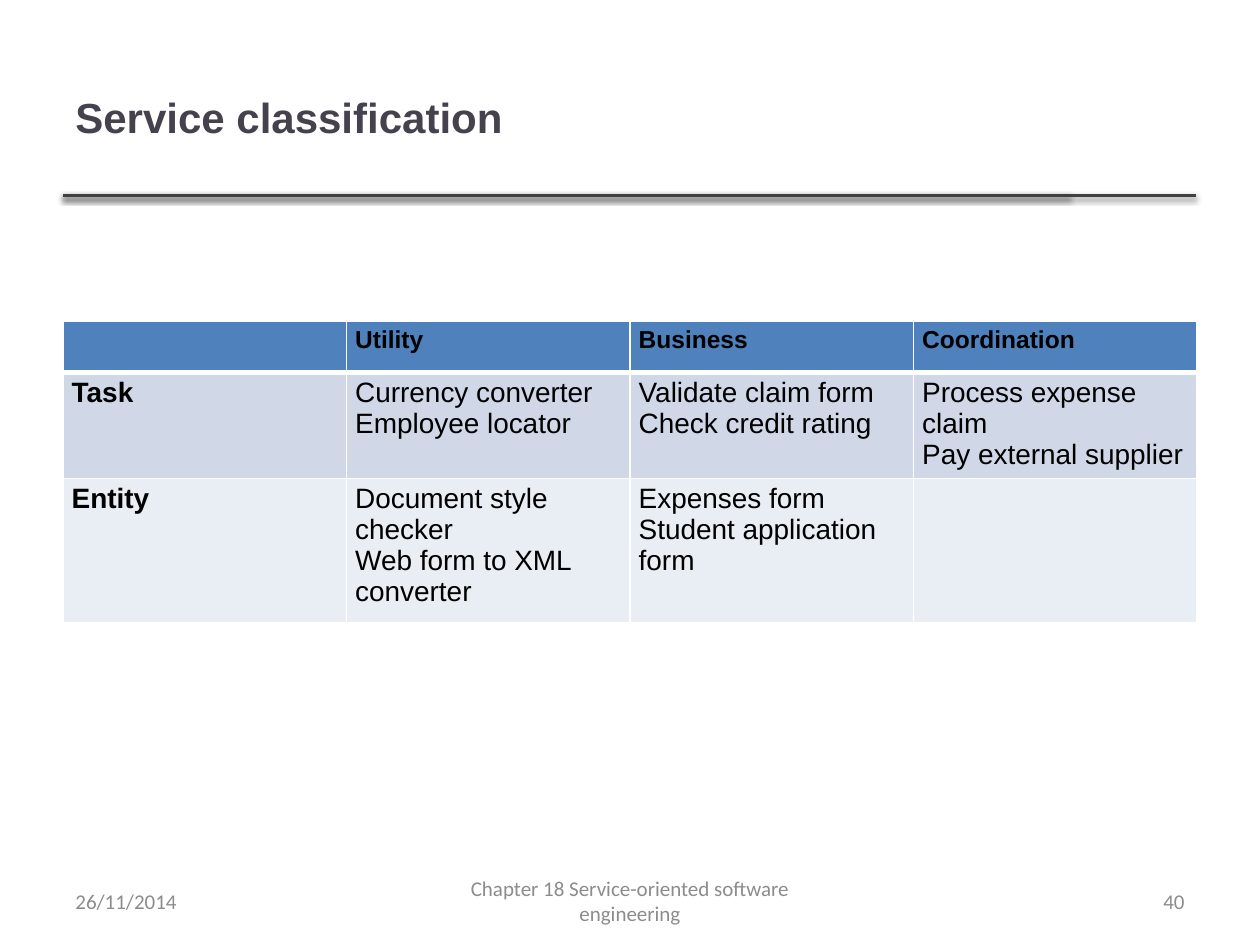
from dataclasses import dataclass

from lxml.etree import SubElement
from pptx import Presentation
from pptx.dml.color import RGBColor
from pptx.enum.shapes import MSO_CONNECTOR
from pptx.enum.text import MSO_ANCHOR as Anchor, PP_ALIGN as Align
from pptx.oxml.ns import qn
from pptx.util import Pt


@dataclass(frozen=True)
class Theme:
    title: str = "46424D"
    rule: str = "404040"
    text: str = "000000"
    footer: str = "8C8C8C"
    border: str = "FFFFFF"
    row_fills: tuple = ("4F81BD", "D0D8E8", "E9EDF4")
    heading_font: str = "Arial"
    footer_font: str = "Calibri"
    title_size: int = 24
    header_size: int = 14
    body_size: int = 16
    footer_size: int = 12


theme = Theme()


def write_text(frame, text, *, size, color, font=theme.heading_font, bold=False,
               align=Align.LEFT):
    """Fill a text frame, with one paragraph for each line of text."""
    frame.word_wrap = True
    for index, line in enumerate(text.split("\n")):
        paragraph = frame.add_paragraph() if index else frame.paragraphs[0]
        paragraph.alignment = align
        run = paragraph.add_run()
        run.text = line
        run.font.name = font
        run.font.size = Pt(size)
        run.font.bold = bold
        run.font.color.rgb = RGBColor.from_string(color)


def add_border(cell, side, width):
    """Draw a border on one side (L, R, T or B); call before filling the cell."""
    line = SubElement(cell._tc.get_or_add_tcPr(), qn(f"a:ln{side}"), w=str(Pt(width)))
    SubElement(SubElement(line, qn("a:solidFill")), qn("a:srgbClr"), val=theme.border)


presentation = Presentation()
presentation.slide_width, presentation.slide_height = Pt(720), Pt(540)
slide = presentation.slides.add_slide(presentation.slide_layouts[6])
shapes = slide.shapes

# Two overlapping rules under the title, each with a soft shadow
for right in (611.3, 683.3):
    rule = shapes.add_connector(MSO_CONNECTOR.STRAIGHT, Pt(36), Pt(111.6), Pt(right), Pt(111.6))
    rule.line.color.rgb = RGBColor.from_string(theme.rule)
    rule.line.width = Pt(2)
    effects = SubElement(rule._element.spPr, qn("a:effectLst"))
    shadow = SubElement(effects, qn("a:outerShdw"), blurRad=str(Pt(3.1)), dist=str(Pt(1.6)),
                        dir="5400000", rotWithShape="0")
    shadow_color = SubElement(shadow, qn("a:srgbClr"), val=theme.text)
    SubElement(shadow_color, qn("a:alpha"), val="38000")

# Title and footer
title_format = dict(size=theme.title_size, color=theme.title, bold=True)
footer_format = dict(size=theme.footer_size, color=theme.footer, font=theme.footer_font)
text_boxes = [
    ("Service classification", 36, 21.6, 574.6, 90, title_format),
    ("26/11/2014", 36, 500.5, 168, 28.75, footer_format),
    ("Chapter 18 Service-oriented software engineering", 246, 500.5, 228, 28.75,
     footer_format | dict(align=Align.CENTER)),
    ("40", 516, 500.5, 168, 28.75, footer_format | dict(align=Align.RIGHT)),
]
for text, left, top, width, height, text_format in text_boxes:
    box = shapes.add_textbox(Pt(left), Pt(top), Pt(width), Pt(height))
    box.text_frame.vertical_anchor = Anchor.MIDDLE
    write_text(box.text_frame, text, **text_format)

# Classification table
rows = [
    ("", "Utility", "Business", "Coordination"),
    ("Task", "Currency converter\nEmployee locator", "Validate claim form\nCheck credit rating",
     "Process expense claim\nPay external supplier"),
    ("Entity", "Document style checker\nWeb form to XML converter",
     "Expenses form\nStudent application form", ""),
]
row_heights = (29.2, 56, 76.5)
table = shapes.add_table(len(rows), len(rows[0]), Pt(36), Pt(183.6), Pt(648),
                         Pt(sum(row_heights))).table
table.first_row = table.horz_banding = False
for row_index, (texts, height) in enumerate(zip(rows, row_heights)):
    table.rows[row_index].height = Pt(height)
    for column_index, text in enumerate(texts):
        cell = table.cell(row_index, column_index)
        for side in "LRTB":
            under_header = (row_index, side) in ((0, "B"), (1, "T"))
            add_border(cell, side, 3 if under_header else 1)
        cell.fill.solid()
        cell.fill.fore_color.rgb = RGBColor.from_string(theme.row_fills[row_index])
        if not text:
            continue
        cell.margin_left = cell.margin_right = Pt(5)
        cell.margin_top = Pt(2.9)
        cell.margin_bottom = Pt(2.9 if row_index == 2 else 0)
        is_label = row_index == 0 or column_index == 0
        write_text(cell.text_frame, text, color=theme.text, bold=is_label,
                   size=theme.body_size if row_index else theme.header_size,
                   align=Align.JUSTIFY if is_label else Align.LEFT)

presentation.save("out.pptx")
